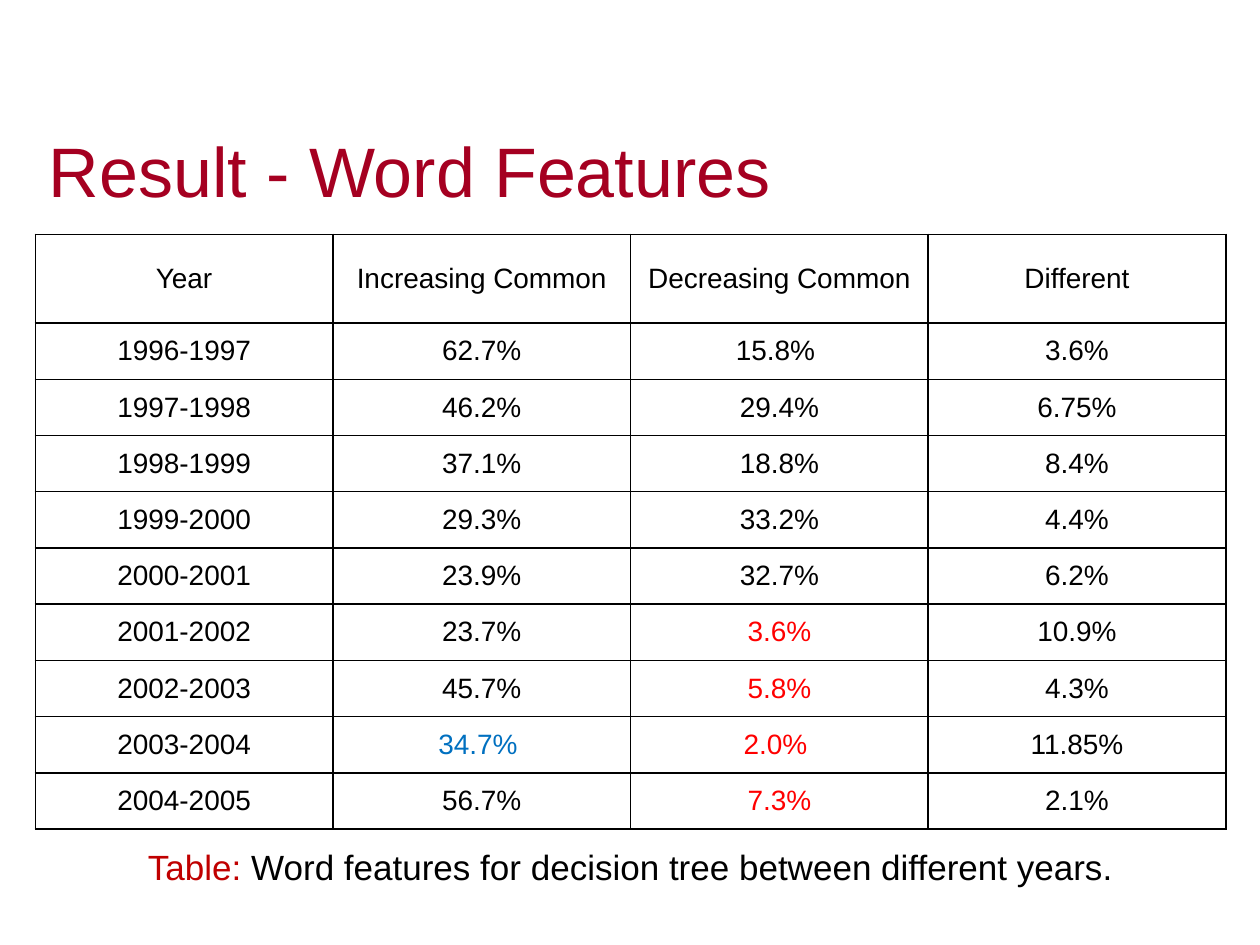
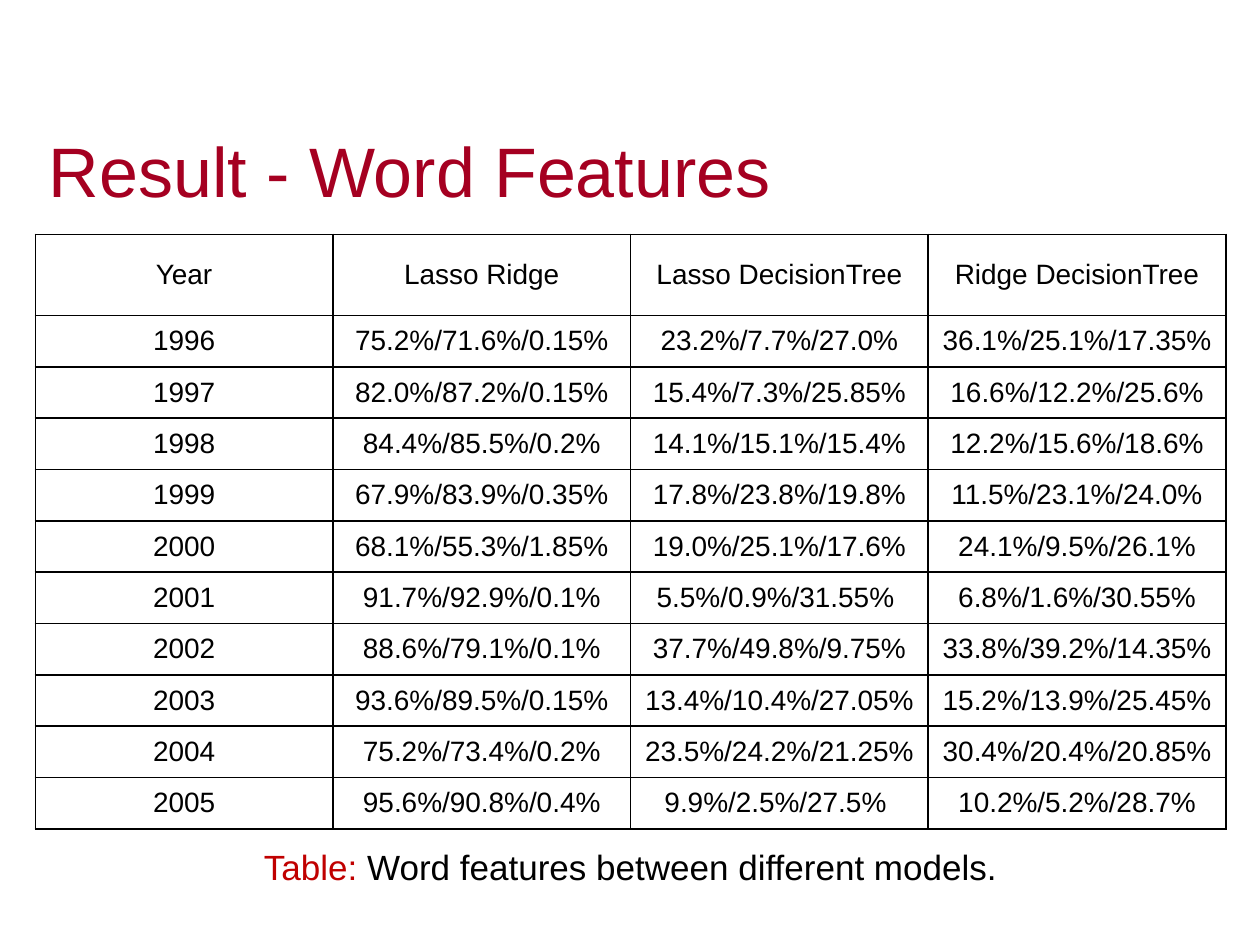
from pptx import Presentation
from pptx.util import Inches, Pt
from pptx.dml.color import RGBColor
from pptx.enum.text import MSO_ANCHOR, PP_ALIGN
from pptx.oxml import parse_xml
from pptx.oxml.ns import nsdecls

COLOURS = {
    "title": "A50021",
    "label": "C00000",
    "text": "000000",
    "low": "FF0000",
    "notable": "0070C0",
}
FONT = "Arial"
HEADER_SHARE = 1.58

RESULTS = [
    {
        "caption": "Word features for decision tree between different years.",
        "rows": [
            ["Year", "Increasing Common", "Decreasing Common", "Different"],
            ["1996-1997", "62.7%", "15.8% ", "3.6%"],
            ["1997-1998", "46.2%", "29.4%", "6.75%"],
            ["1998-1999", "37.1%", "18.8%", "8.4%"],
            ["1999-2000", "29.3%", "33.2%", "4.4%"],
            ["2000-2001", "23.9%", "32.7%", "6.2%"],
            ["2001-2002", "23.7%", "3.6%", "10.9%"],
            ["2002-2003", "45.7%", "5.8%", "4.3%"],
            ["2003-2004", "34.7% ", "2.0% ", "11.85%"],
            ["2004-2005", "56.7%", "7.3%", "2.1%"],
        ],
        "marked": {(6, 2): "low", (7, 2): "low", (8, 2): "low", (9, 2): "low", (8, 1): "notable"},
    },
    {
        "caption": "Word features between different models.",
        "rows": [
            ["Year", "Lasso Ridge", "Lasso DecisionTree", "Ridge DecisionTree"],
            ["1996", "75.2%/71.6%/0.15%", "23.2%/7.7%/27.0%", "36.1%/25.1%/17.35%"],
            ["1997", "82.0%/87.2%/0.15%", "15.4%/7.3%/25.85%", "16.6%/12.2%/25.6%"],
            ["1998", "84.4%/85.5%/0.2%", "14.1%/15.1%/15.4%", "12.2%/15.6%/18.6%"],
            ["1999", "67.9%/83.9%/0.35%", "17.8%/23.8%/19.8%", "11.5%/23.1%/24.0%"],
            ["2000", "68.1%/55.3%/1.85%", "19.0%/25.1%/17.6%", "24.1%/9.5%/26.1%"],
            ["2001", "91.7%/92.9%/0.1%", "5.5%/0.9%/31.55% ", "6.8%/1.6%/30.55%"],
            ["2002", "88.6%/79.1%/0.1%", "37.7%/49.8%/9.75%", "33.8%/39.2%/14.35%"],
            ["2003", "93.6%/89.5%/0.15%", "13.4%/10.4%/27.05%", "15.2%/13.9%/25.45%"],
            ["2004", "75.2%/73.4%/0.2%", "23.5%/24.2%/21.25%", "30.4%/20.4%/20.85%"],
            ["2005", "95.6%/90.8%/0.4%", "9.9%/2.5%/27.5% ", "10.2%/5.2%/28.7%"],
        ],
        "marked": {},
    },
]

deck = Presentation()
deck.slide_width = Inches(10)
deck.slide_height = Inches(7.5)
blank = deck.slide_layouts[6]


def place(left, top, width, height):
    column, row = deck.slide_width / 100, deck.slide_height / 100
    return int(left * column), int(top * row), int(width * column), int(height * row)


def add_span(para, text, size, colour):
    span = para.add_run()
    span.text = text
    span.font.name = FONT
    span.font.size = Pt(size)
    span.font.color.rgb = RGBColor.from_string(COLOURS[colour])


for result in RESULTS:
    page = deck.slides.add_slide(blank)

    title = page.shapes.add_textbox(*place(2.9, 8, 94.3, 20.93)).text_frame
    title.word_wrap = True
    title.vertical_anchor = MSO_ANCHOR.MIDDLE
    title.paragraphs[0].line_spacing = 0.9
    add_span(title.paragraphs[0], "Result - Word Features", 40, "title")

    caption = page.shapes.add_textbox(*place(2.8, 88.8, 94.5, 5.87)).text_frame
    caption.word_wrap = True
    para = caption.paragraphs[0]
    para.alignment = PP_ALIGN.CENTER
    add_span(para, "Table: ", 20, "label")
    add_span(para, result["caption"], 20, "text")

    rows = result["rows"]
    left, top, width, height = place(2.8, 24.8, 94.5, 62.93)
    table = page.shapes.add_table(len(rows), len(rows[0]), left, top, width, height).table
    table.first_row = False
    table.horz_banding = False
    for column in table.columns:
        column.width = width // len(rows[0])
    body_height = height / (len(rows) - 1 + HEADER_SHARE)
    for row_index, values in enumerate(rows):
        table.rows[row_index].height = int(body_height * (1 if row_index else HEADER_SHARE))
        for column_index, value in enumerate(values):
            cell = table.cell(row_index, column_index)
            cell.vertical_anchor = MSO_ANCHOR.MIDDLE
            para = cell.text_frame.paragraphs[0]
            para.alignment = PP_ALIGN.CENTER
            add_span(para, value, 16, result["marked"].get((row_index, column_index), "text"))
            properties = cell._tc.get_or_add_tcPr()
            for side in "LRTB":
                properties.append(parse_xml(
                    f'<a:ln{side} {nsdecls("a")} w="{Pt(1)}"><a:solidFill>'
                    f'<a:srgbClr val="{COLOURS["text"]}"/></a:solidFill></a:ln{side}>'
                ))
            cell.fill.background()

deck.save("out.pptx")
